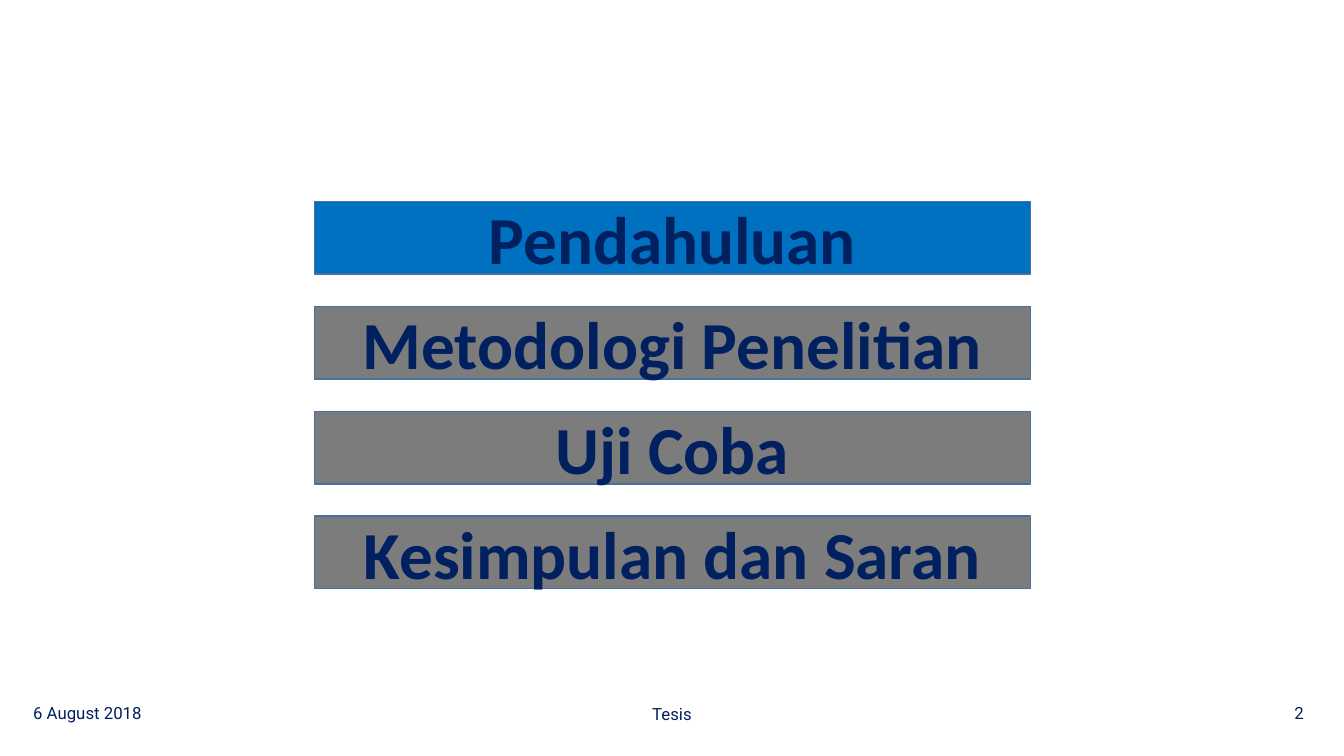
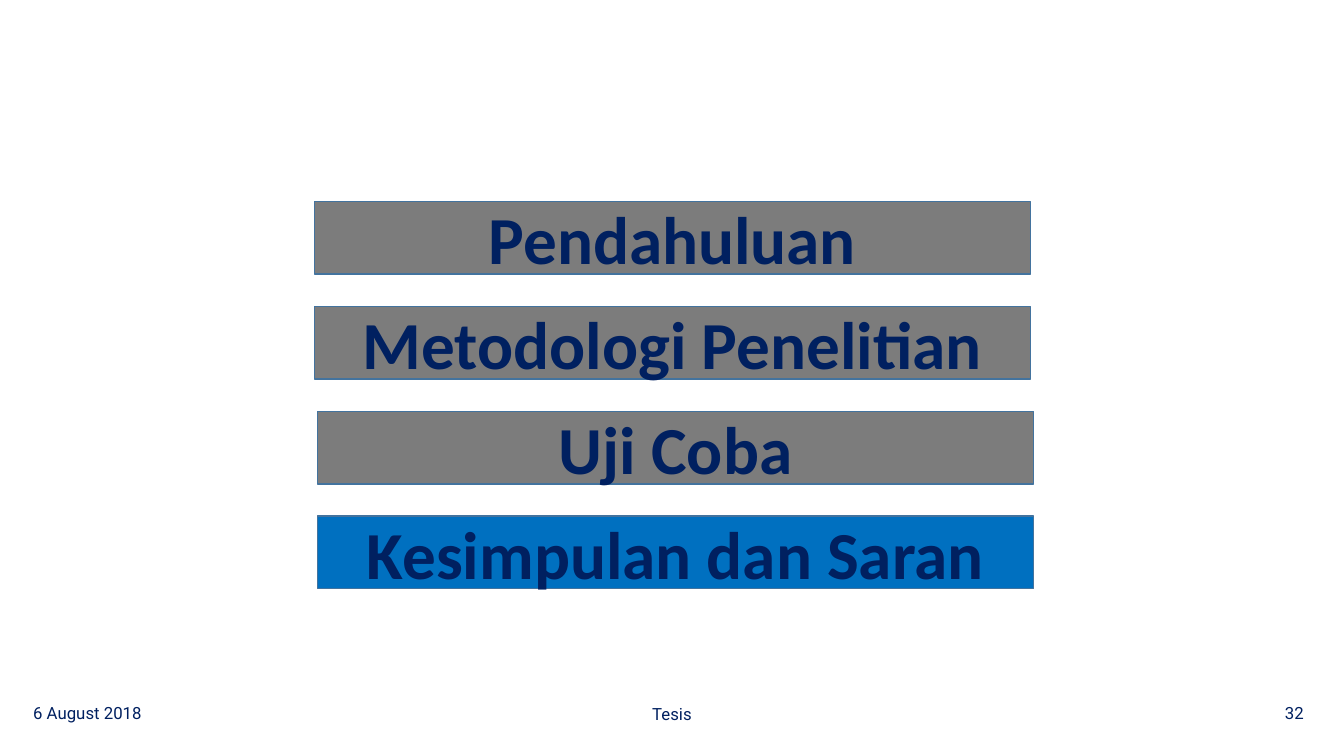
from dataclasses import dataclass

from pptx import Presentation
from pptx import util as u
from pptx.dml.color import RGBColor
from pptx.enum import shapes, text
from pptx.shapes.autoshape import Shape
from pptx.slide import Slide

# Shared colours and formats
NAVY = RGBColor(0x00, 0x20, 0x60)
ACTIVE = RGBColor(0x00, 0x70, 0xC0)
INACTIVE = RGBColor(0x7C, 0x7C, 0x7C)
OUTLINE = RGBColor(0x43, 0x73, 0x9E)
WIDTH, HEIGHT = u.Inches(13.33), u.Inches(7.5)

FRAME_FORMAT = {"word_wrap": True, "vertical_anchor": text.MSO_ANCHOR.MIDDLE}
FOOTER_FONT = {"name": "Roboto", "size": u.Pt(12), "bold": False}
CHAPTER_FONT = {"name": "Calibri", "size": u.Pt(48), "bold": True}


@dataclass(frozen=True)
class Box:
    """A rectangle in percent of the slide's width and height."""
    left: float
    top: float
    width: float
    height: float

    def emu(self) -> tuple[int, ...]:
        shares = ((self.left, WIDTH), (self.top, HEIGHT),
                  (self.width, WIDTH), (self.height, HEIGHT))
        return tuple(round(share * side / 100) for share, side in shares)


@dataclass(frozen=True)
class Footer:
    box: Box
    align: text.PP_ALIGN
    wording: str


@dataclass(frozen=True)
class Agenda:
    page: int
    current: str
    lower_shift: float = 0  # rightward offset of the lower two chapters


# Content
CHAPTERS = ("Pendahuluan", "Metodologi Penelitian", "Uji Coba", "Kesimpulan dan Saran")
FIRST_CHAPTER = Box(23.41, 26.67, 53.26, 9.6)
CHAPTER_PITCH = 13.87
FOOTERS = (
    Footer(Box(1.73, 90.93, 15.6, 6.67), text.PP_ALIGN.LEFT, "6 August 2018"),
    Footer(Box(38.11, 91.07, 23.78, 6.67), text.PP_ALIGN.CENTER, "Tesis"),
    Footer(Box(93.77, 90.93, 3.98, 6.67), text.PP_ALIGN.RIGHT, "{page}"),
)
AGENDAS = (
    Agenda(2, "Pendahuluan"),
    Agenda(32, "Kesimpulan dan Saran", lower_shift=0.23),
)


# Drawing functions
def apply(target: object, values: dict) -> None:
    for attribute, value in values.items():
        setattr(target, attribute, value)


def write(holder: Shape, wording: str, align: text.PP_ALIGN, font: dict) -> None:
    apply(holder.text_frame, FRAME_FORMAT)
    paragraph = holder.text_frame.paragraphs[0]
    paragraph.alignment = align
    run = paragraph.add_run()
    run.text = wording
    apply(run.font, font)
    run.font.color.rgb = NAVY


def draw_footer(slide: Slide, footer: Footer, page: int) -> None:
    holder = slide.shapes.add_textbox(*footer.box.emu())
    write(holder, footer.wording.format(page=page), footer.align, footer_font)


def draw_chapter(slide: Slide, box: Box, chapter: str, fill: RGBColor) -> None:
    bar = slide.shapes.add_shape(shapes.MSO_SHAPE.RECTANGLE, *box.emu())
    bar.shadow.inherit = False
    bar.fill.solid()
    bar.fill.fore_color.rgb = fill
    bar.line.color.rgb = OUTLINE
    bar.line.width = u.Pt(1)
    write(bar, chapter, text.PP_ALIGN.CENTER, CHAPTER_FONT)


def draw_agenda(slide: Slide, agenda: Agenda) -> None:
    for footer in FOOTERS:
        draw_footer(slide, footer, agenda.page)
    first = FIRST_CHAPTER
    for row, chapter in enumerate(CHAPTERS):
        shift = agenda.lower_shift if row >= len(CHAPTERS) // 2 else 0
        box = Box(first.left + shift, first.top + row * CHAPTER_PITCH,
                  first.width, first.height)
        draw_chapter(slide, box, chapter,
                     ACTIVE if chapter == agenda.current else INACTIVE)


# Build the slides
footer_font = FOOTER_FONT
deck = Presentation()
apply(deck, {"slide_width": WIDTH, "slide_height": HEIGHT})
blank = deck.slide_layouts[6]
for agenda in AGENDAS:
    draw_agenda(deck.slides.add_slide(blank), agenda)
deck.save("out.pptx")
